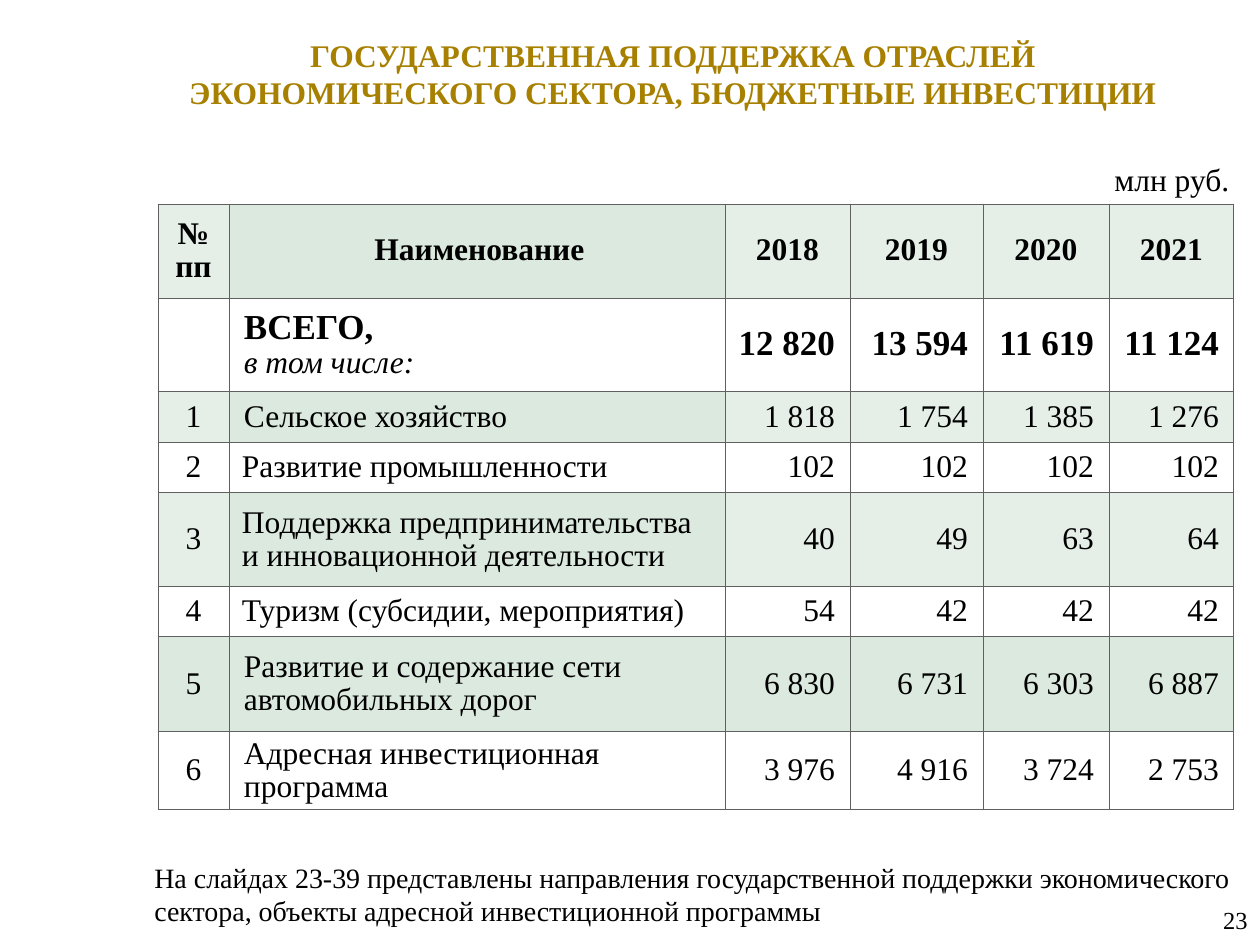
from pptx import Presentation
from pptx.dml.color import RGBColor
from pptx.enum.text import MSO_ANCHOR, PP_ALIGN
from pptx.oxml import parse_xml
from pptx.oxml.ns import nsdecls
from pptx.util import Pt

SCALE = 914400 / 126
LEFT, CENTER, RIGHT = PP_ALIGN.LEFT, PP_ALIGN.CENTER, PP_ALIGN.RIGHT
TOP, MIDDLE = MSO_ANCHOR.TOP, MSO_ANCHOR.MIDDLE
COLORS = {
    "gold": "A88000",
    "text": "000000",
    "border": "606060",
    "pale": "E5EFE8",
    "green": "DBE9DF",
}
FONT = "Times New Roman"
COLUMNS = [71, 496, 125, 133, 126, 125]
ROWS = [
    (94, "№ пп", "Наименование", ["2018", "2019", "2020", "2021"]),
    (94, "", "ВСЕГО,\nв том числе:", ["12 820", "13 594", "11 619", "11 124"]),
    (51, "1", "Сельское хозяйство", ["1 818", "1 754", "1 385", "1 276"]),
    (50, "2", "Развитие промышленности", ["102"] * 4),
    (94, "3", "Поддержка предпринимательства и инновационной деятельности",
     ["40", "49", "63", "64"]),
    (50, "4", "Туризм (субсидии, мероприятия)", ["54", "42", "42", "42"]),
    (95, "5", "Развитие и содержание сети автомобильных дорог",
     ["6 830", "6 731", "6 303", "6 887"]),
    (76, "6", "Адресная инвестиционная программа",
     ["3 976", "4 916", "3 724", "2 753"]),
]
HEADER_ROW, TOTAL_ROW, ROADS_ROW = 0, 1, 6
NARROW_INDENT_ROWS = (3, 4, 5)


def px(length):
    return round(length * SCALE)


class SlideBuilder:
    def __init__(self, deck):
        self.page = deck.slides.add_slide(deck.slide_layouts[5])

    def style(self, frame, size, color="text", bold=False, align=LEFT, spacing=None):
        for para in frame.paragraphs:
            para.alignment = align
            para.line_spacing = spacing
            for span in para.runs:
                span.font.name = FONT
                span.font.size = Pt(size)
                span.font.bold = bold
                span.font.color.rgb = RGBColor.from_string(COLORS[color])

    def place(self, box, left, top, width, height):
        box.left, box.top = px(left), px(top)
        box.width, box.height = px(width), px(height)

    def title(self, text, *bounds):
        box = self.page.shapes.title
        self.place(box, *bounds)
        frame = box.text_frame
        frame.text = text
        frame.vertical_anchor = MIDDLE
        self.style(frame, 18, "gold", True, CENTER)

    def text(self, text, *bounds, size, align=LEFT, anchor=TOP):
        box = self.page.shapes.add_textbox(*map(px, bounds))
        frame = box.text_frame
        frame.word_wrap = True
        frame.vertical_anchor = anchor
        frame.text = text
        self.style(frame, size, align=align)

    def border(self, cell):
        properties = cell._tc.get_or_add_tcPr()
        for index, side in enumerate(("lnL", "lnR", "lnT", "lnB")):
            properties.insert(index, parse_xml(
                f'<a:{side} {nsdecls("a")} w="{Pt(0.5)}"><a:solidFill>'
                f'<a:srgbClr val="{COLORS["border"]}"/></a:solidFill></a:{side}>'))

    def cell(self, cell, text, margins, align, fill, size=18, bold=False):
        cell.margin_left, cell.margin_right = map(px, margins)
        cell.margin_top = cell.margin_bottom = px(3)
        cell.vertical_anchor = MIDDLE
        cell.text_frame.text = text
        self.style(cell.text_frame, size, bold=bold, align=align, spacing=0.95)
        if fill:
            cell.fill.solid()
            cell.fill.fore_color.rgb = RGBColor.from_string(COLORS[fill])
        else:
            cell.fill.background()
        self.border(cell)

    def budget_table(self, left, top):
        heights = [row[0] for row in ROWS]
        table = self.page.shapes.add_table(
            len(ROWS), len(COLUMNS), px(left), px(top),
            px(sum(COLUMNS)), px(sum(heights))).table
        for column, width in zip(table.columns, COLUMNS):
            column.width = px(width)
        for index, (height, number, name, values) in enumerate(ROWS):
            table.rows[index].height = px(height)
            header, total = index == HEADER_ROW, index == TOTAL_ROW
            shaded = index % 2 == 0
            name_fill = "green" if shaded else None
            fill = "pale" if shaded and index != ROADS_ROW else name_fill
            value_size = 20 if total else 18
            name_left = 13 if index in NARROW_INDENT_ROWS else 15
            self.cell(table.cell(index, 0), number, (13, 13), CENTER, fill, bold=header)
            self.cell(table.cell(index, 1), name, (name_left, 10),
                      CENTER if header else LEFT, name_fill, bold=header)
            for column, value in enumerate(values, 2):
                self.cell(table.cell(index, column), value,
                          (15 if header else 0, 15), CENTER if header else RIGHT,
                          fill, value_size, header or total)
        heading, note = table.cell(TOTAL_ROW, 1).text_frame.paragraphs
        heading.runs[0].font.size = Pt(20)
        heading.runs[0].font.bold = True
        note.runs[0].font.italic = True


def main():
    deck = Presentation()
    deck.slide_width, deck.slide_height = px(1260), px(945)
    builder = SlideBuilder(deck)
    builder.title("ГОСУДАРСТВЕННАЯ ПОДДЕРЖКА ОТРАСЛЕЙ ЭКОНОМИЧЕСКОГО СЕКТОРА, "
                  "БЮДЖЕТНЫЕ ИНВЕСТИЦИИ", 142, 20, 1062, 107)
    builder.text("млн руб.", 1102, 154, 147, 50, size=18)
    builder.text("23", 976, 895, 284, 50, size=14, align=RIGHT, anchor=MIDDLE)
    builder.budget_table(158, 204)
    builder.text("На слайдах 23-39 представлены направления государственной поддержки "
                 "экономического сектора, объекты адресной инвестиционной программы",
                 142, 854, 1106, 81, size=16)
    deck.save("out.pptx")


if __name__ == "__main__":
    main()
